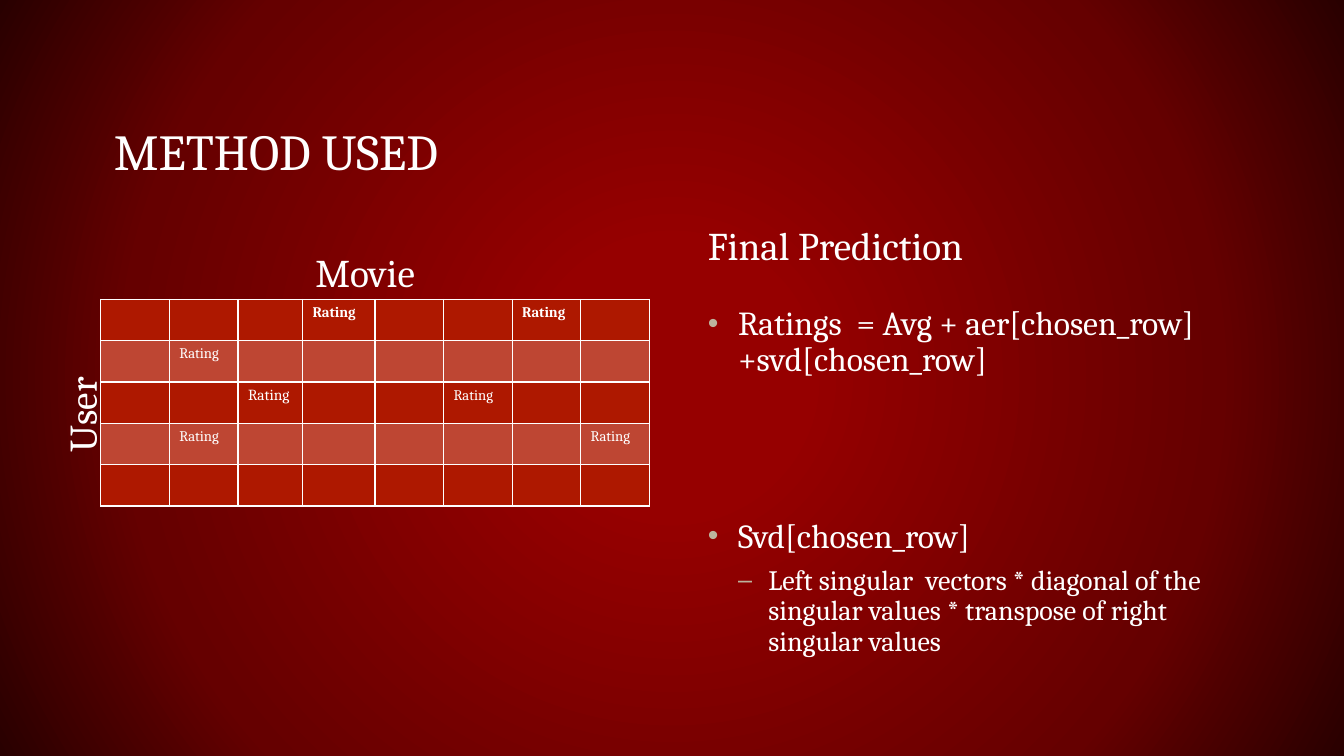
from pptx import Presentation
from pptx.dml.color import RGBColor
from pptx.enum.text import MSO_ANCHOR, MSO_AUTO_SIZE, PP_ALIGN
from pptx.oxml import parse_xml
from pptx.oxml.ns import nsdecls
from pptx.util import Inches, Pt

WHITE = RGBColor(0xFF, 0xFF, 0xFF)
RED = RGBColor(0xAE, 0x18, 0x00)
PALE_RED = RGBColor(0xBE, 0x46, 0x33)
BULLET = RGBColor(0xBC, 0xB4, 0x9E)
GLOW = [(17, RGBColor(0x96, 0, 0)), (71, RGBColor(0x65, 0, 0)), (100, RGBColor(0x29, 0, 0))]
FONT = "Cambria"

# Two equal columns between the margins
MARGIN, COLUMN, GAP = 1, 5.44, 0.45
RIGHT = MARGIN + COLUMN + GAP
CONTENT_TOP = 2.97
ROW = 0.41


def place(box, left, top, width, height, anchor=MSO_ANCHOR.TOP):
    """Move a text shape to a place in inches and return its text frame."""
    box.left, box.top, box.width, box.height = map(Inches, (left, top, width, height))
    frame = box.text_frame
    frame.word_wrap = True
    frame.auto_size = MSO_AUTO_SIZE.NONE
    frame.vertical_anchor = anchor
    if box.is_placeholder:
        frame.margin_left = frame.margin_right = Inches(0.13)
        frame.margin_top = frame.margin_bottom = Inches(0.07)
    return frame


def write(para, text, size, spacing=0.9, before=0, bold=False, align=PP_ALIGN.LEFT):
    """Fill a paragraph with white text in the slide's font."""
    para.text = text
    para.alignment = align
    para.line_spacing = spacing
    para.space_before = Pt(before)
    font = para.font
    font.name, font.size, font.bold = FONT, Pt(size), bold
    font.color.rgb = WHITE


deck = Presentation()
deck.slide_width, deck.slide_height = Inches(13.33), Inches(7.5)
page = deck.slides.add_slide(deck.slide_layouts.get_by_name("Comparison"))
title, left_heading, left_body, heading, body = page.placeholders
for unused in (left_heading, left_body):
    unused.element.getparent().remove(unused.element)

# Round glow behind the slide
page.background.fill.solid()
solid = page.background.fill._xPr.find(".//{*}solidFill")
stops = "".join(f'<a:gs pos="{share * 1000}"><a:srgbClr val="{color}"/></a:gs>'
                for share, color in GLOW)
solid.getparent().replace(solid, parse_xml(
    f'<a:gradFill {nsdecls("a")} rotWithShape="1"><a:gsLst>{stops}</a:gsLst>'
    '<a:path path="circle"><a:fillToRect l="50000" t="50000" r="50000" b="50000"/></a:path>'
    '</a:gradFill>'))

# Headings and axis names
frame = place(title, MARGIN, 0.53, 2 * COLUMN + GAP, 1.33, MSO_ANCHOR.BOTTOM)
write(frame.paragraphs[0], "METHOD USED", 36, spacing=0.8)
frame = place(heading, RIGHT, CONTENT_TOP - 1, COLUMN, 1, MSO_ANCHOR.MIDDLE)
write(frame.paragraphs[0], "Final Prediction", 28, spacing=0.8)

for name, left, top, width, turn, align in [
    ("Movie", 1.41, 2.47, 4.42, 0, PP_ALIGN.CENTER),
    ("User", 0.09, 3.57, 1.5, 270, PP_ALIGN.LEFT),
]:
    label = page.shapes.add_textbox(0, 0, 0, 0)
    frame = place(label, left, top, width, 0.53)
    label.rotation = turn
    write(frame.paragraphs[0], name, 28, align=align)

# Bulleted formulas: text, level, size, space before, bullet
frame = place(body, RIGHT, CONTENT_TOP, COLUMN, 3.89)
formulas = [
    ("Ratings  = Avg + aer[chosen_row] +svd[chosen_row]", 0, 24, 16, "•"),
    ("Svd[chosen_row]", 0, 24, 100, "•"),
    ("Left singular  vectors * diagonal of the singular values * transpose of right "
     "singular values", 1, 20, 8, "–"),
]
for index, (text, level, size, before, mark) in enumerate(formulas):
    para = frame.add_paragraph() if index else frame.paragraphs[0]
    write(para, text, size, before=before)
    para.level = level
    props = para._p.get_or_add_pPr()
    props.set("marL", str(Inches(0.3 * (level + 1))))
    props.set("indent", str(Inches(-0.3)))
    bullet = [f'<a:buClr {nsdecls("a")}><a:srgbClr val="{BULLET}"/></a:buClr>',
              f'<a:buSzPct {nsdecls("a")} val="90000"/>',
              f'<a:buFont {nsdecls("a")} typeface="Arial"/>',
              f'<a:buChar {nsdecls("a")} char="{mark}"/>']
    for part in bullet:
        props.find("{*}defRPr").addprevious(parse_xml(part))

# Sparse user by movie matrix: (row, column) of each known rating
ratings = {(0, 3), (0, 6), (1, 1), (2, 2), (2, 5), (3, 1), (3, 7)}
widths = [0.68, 0.68, 0.64, 0.72, 0.68, 0.68, 0.68, 0.68]
matrix = page.shapes.add_table(5, len(widths), Inches(MARGIN), Inches(CONTENT_TOP),
                               Inches(COLUMN), Inches(5 * ROW)).table
for column, width in zip(matrix.columns, widths):
    column.width = Inches(width)
for row_index, row in enumerate(matrix.rows):
    row.height = Inches(ROW)
    for column_index, cell in enumerate(row.cells):
        known = (row_index, column_index) in ratings
        write(cell.text_frame.paragraphs[0], "Rating" if known else "",
              11 if (row_index, column_index) == (2, 2) else 10.5,
              spacing=1.0, bold=row_index == 0)
        cell.fill.solid()
        cell.fill.fore_color.rgb = PALE_RED if row_index % 2 else RED
        props = cell._tc.get_or_add_tcPr()
        for index, side in enumerate(("lnL", "lnR", "lnT", "lnB")):
            props.insert(index, parse_xml(
                f'<a:{side} {nsdecls("a")} w="{Pt(1)}"><a:solidFill>'
                f'<a:srgbClr val="{WHITE}"/></a:solidFill></a:{side}>'))

deck.save("out.pptx")
